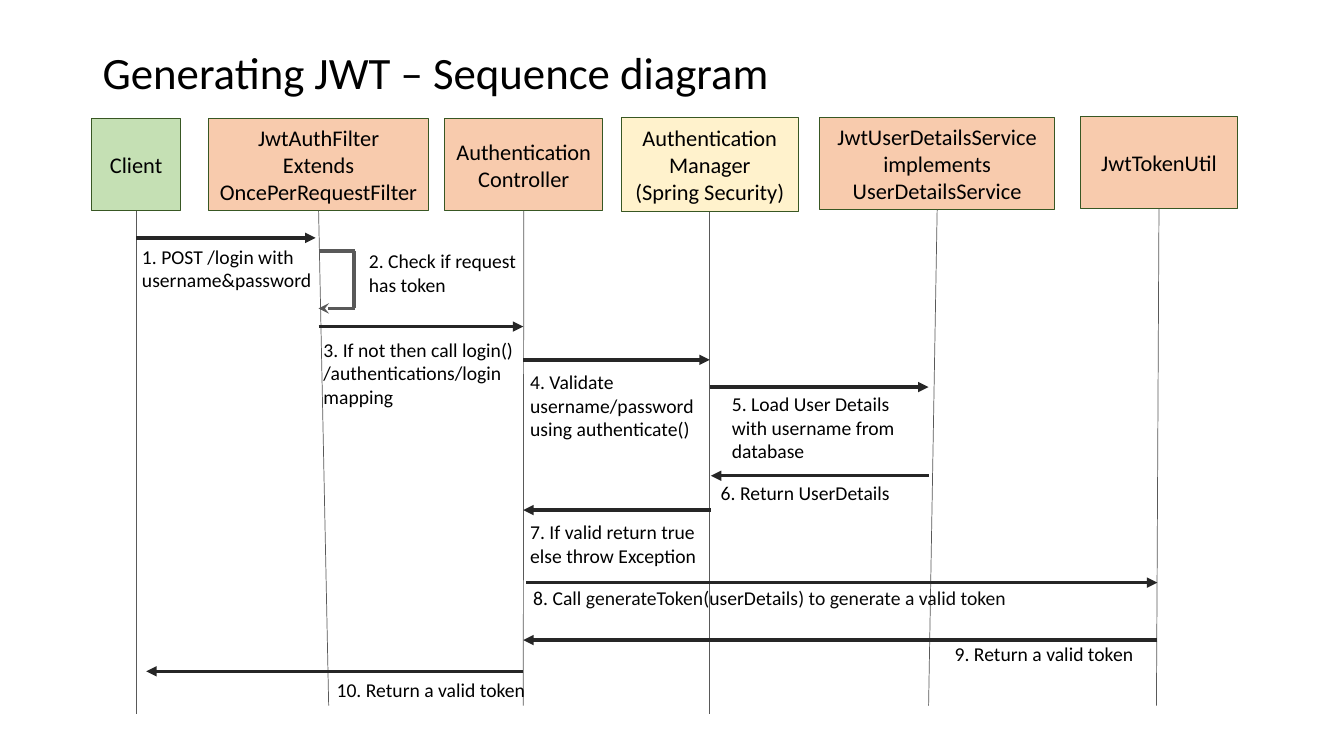
from dataclasses import dataclass

from lxml import etree
from pptx import Presentation
from pptx.dml.color import RGBColor
from pptx.enum.shapes import MSO_CONNECTOR, MSO_SHAPE
from pptx.enum.text import MSO_ANCHOR, MSO_AUTO_SIZE, PP_ALIGN
from pptx.oxml.ns import qn
from pptx.util import Inches, Pt

STRAIGHT = MSO_CONNECTOR.STRAIGHT
RECTANGLE = MSO_SHAPE.RECTANGLE
TOP, MIDDLE = MSO_ANCHOR.TOP, MSO_ANCHOR.MIDDLE
LEFT, CENTER = PP_ALIGN.LEFT, PP_ALIGN.CENTER
FIT_SHAPE = MSO_AUTO_SIZE.SHAPE_TO_FIT_TEXT
BOTTOM_SIDE = 2

COLUMNS, ROWS = 133.3, 75
CELL = 0.1


@dataclass(frozen=True)
class Theme:
    font: str = "Calibri"
    title_size: float = 32
    participant_size: float = 16
    label_size: float = 14
    text: str = "000000"
    code: str = "080808"
    client: str = "C5E0B4"
    application: str = "F8CBAD"
    framework: str = "FFF2CC"
    border: str = "385723"
    lifeline: str = "595959"
    message: str = "262626"
    border_width: float = 0.75
    lifeline_width: float = 0.5
    message_width: float = 2.5


THEME = Theme()

PARTICIPANTS = [
    ("Client", THEME.client, (9.1, 11.8, 8.8, 9.1), (13.5, 70.8)),
    ("JwtAuthFilter\nExtends\nOncePerRequestFilter", THEME.application,
     (20.7, 11.8, 21.8, 9.1), (32.6, 70)),
    ("Authentication\nController", THEME.application,
     (44.1, 11.8, 15.7, 9.1), (51.9, 70)),
    ("Authentication\nManager\n(Spring Security)", THEME.framework,
     (61.6, 11.7, 17.6, 9.3), (70.4, 70.8)),
    ("JwtUserDetailsService\nimplements\nUserDetailsService", THEME.application,
     (81.3, 11.7, 23.3, 9.1), (92.1, 70)),
    ("JwtTokenUtil", THEME.application, (107.2, 11.6, 15.5, 9.1), (114.7, 70)),
]

ARROWS = [
    (13.5, 31.3, 23.6),
    (31.6, 51.9, 32.4),
    (51.9, 70.4, 35.7),
    (70.4, 92.1, 38.4),
    (92.1, 70.5, 47.2),
    (70.5, 51.9, 50.6),
    (52.2, 114.8, 57.8),
    (114.8, 51.9, 63.5),
    (51.9, 14.5, 66.6),
]

LABELS = [
    ("1. POST /login with username&password", (13.1, 23.8), 19.5, 2),
    ("2. Check if request\nhas token", (35.6, 24.2), 17.2, 2),
    ("3. If not then call login() /authentications/login mapping", (31.1, 33), 21.1, 3),
    ("4. Validate username/password\nusing authenticate()", (51.6, 36.2), 18.8, 3),
    ("5. Load User Details with username from database", (71.6, 38.4), 20.5, 3),
    ("6. Return UserDetails", (70.5, 47.2), 20.5, 1),
    ("7. If valid return true else throw Exception", (51.6, 51.1), 20.5, 2),
    ([("8. Call ", THEME.text), ("generateToken(", THEME.code),
      ("userDetails", THEME.text), (") to generate a valid token", THEME.code)],
     (51.9, 57.6), 53.5, 1),
    ("9. Return a valid token", (93.7, 63.2), 20.9, 1),
    ("10. Return a valid token", (32.4, 66.8), 20.9, 1),
]

TOKEN_CHECK = [
    ((31.6, 24.9), (35.2, 24.9), None),
    ((35.1, 24.9), (35.1, 30.6), None),
    ((35.2, 30.6), (31.6, 30.6), "stealth"),
]


def grid(*cells):
    return [Inches(cell * CELL) for cell in cells]


def write_text(shape, text, *, size, align=LEFT, anchor=TOP, wrap=True, spacing=1.0):
    frame = shape.text_frame
    frame.word_wrap = wrap
    frame.vertical_anchor = anchor
    paragraph = frame.paragraphs[0]
    paragraph.alignment = align
    paragraph.line_spacing = spacing
    pieces = [(text, THEME.text)] if isinstance(text, str) else text
    for words, color in pieces:
        for index, line in enumerate(words.split("\n")):
            if index:
                paragraph.add_line_break()
            run = paragraph.add_run()
            run.text = line
            run.font.name = THEME.font
            run.font.size = Pt(size)
            run.font.color.rgb = RGBColor.from_string(color)


def add_title(slide, text):
    shape = slide.shapes.add_textbox(*grid(9.2, 4, 115, 6.9))
    write_text(shape, text, size=THEME.title_size, anchor=MIDDLE, spacing=0.9)


def add_participant(slide, name, color, area):
    shape = slide.shapes.add_shape(RECTANGLE, *grid(*area))
    shape.shadow.inherit = False
    shape.fill.solid()
    shape.fill.fore_color.rgb = RGBColor.from_string(color)
    shape.line.color.rgb = RGBColor.from_string(THEME.border)
    shape.line.width = Pt(THEME.border_width)
    write_text(shape, name, size=THEME.participant_size, align=CENTER,
               anchor=MIDDLE, wrap=False)
    return shape


def add_line(shapes, start, end, *, color, width, head=None):
    connector = shapes.add_connector(STRAIGHT, *grid(*start, *end))
    connector.line.color.rgb = RGBColor.from_string(color)
    connector.line.width = Pt(width)
    if head:
        etree.SubElement(connector.get_or_add_ln(), qn("a:tailEnd"), type=head)
    etree.SubElement(connector._element.spPr, qn("a:effectLst"))
    return connector


def add_lifeline(slide, participant, area, end):
    left, top, width, height = area
    middle = left + width / 2
    centered = abs(middle - end[0]) < 0.5 or participant.text_frame.text != PARTICIPANTS[4][0]
    start = (middle if centered else end[0], top + height)
    connector = add_line(slide.shapes, start, end, color=THEME.lifeline,
                         width=THEME.lifeline_width)
    if centered:
        connector.begin_connect(participant, BOTTOM_SIDE)


def add_label(slide, text, position, width, lines):
    shape = slide.shapes.add_textbox(*grid(*position, width, 1.05 + 2.35 * lines))
    write_text(shape, text, size=THEME.label_size)
    shape.text_frame.auto_size = FIT_SHAPE


def main():
    presentation = Presentation()
    presentation.slide_width, presentation.slide_height = grid(COLUMNS, ROWS)
    slide = presentation.slides.add_slide(presentation.slide_layouts[6])
    add_title(slide, "Generating JWT – Sequence diagram")

    boxes = [add_participant(slide, name, color, area)
             for name, color, area, _ in PARTICIPANTS]
    for box, (_, _, area, end) in zip(boxes, PARTICIPANTS):
        add_lifeline(slide, box, area, end)

    for start, end, row in ARROWS:
        add_line(slide.shapes, (start, row), (end, row), color=THEME.message,
                 width=THEME.message_width, head="triangle")

    token_check = slide.shapes.add_group_shape()
    for start, end, head in TOKEN_CHECK:
        add_line(token_check.shapes, start, end, color=THEME.lifeline,
                 width=THEME.message_width, head=head)

    for label in LABELS:
        add_label(slide, *label)

    presentation.save("out.pptx")


if __name__ == "__main__":
    main()
